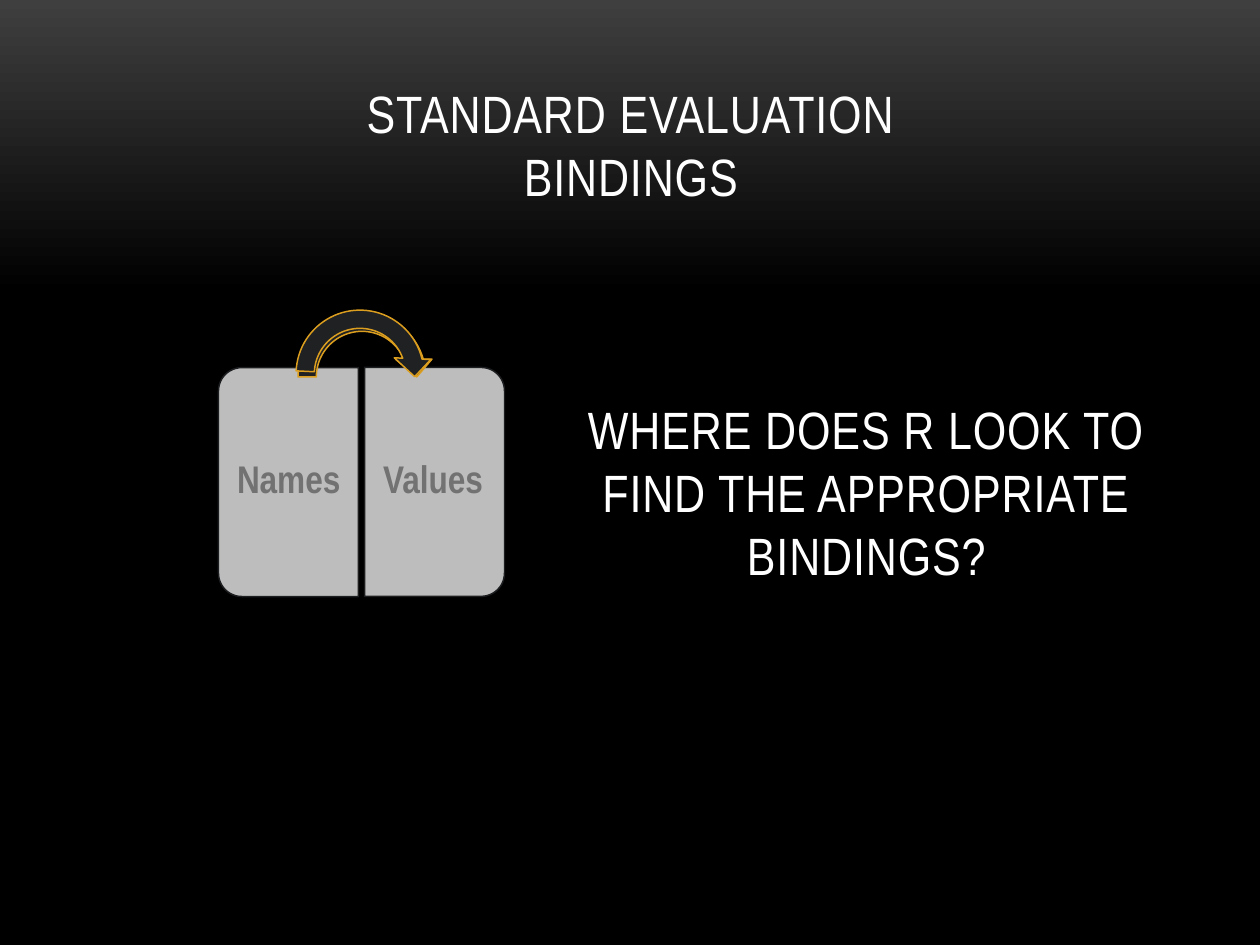
from pptx import Presentation
from pptx.dml.color import RGBColor
from pptx.enum.shapes import MSO_SHAPE as Shape
from pptx.enum.text import MSO_ANCHOR as Anchor, MSO_AUTO_SIZE as AutoSize, PP_ALIGN as Align
from pptx.util import Emu, Pt

WHITE = RGBColor(0xFF, 0xFF, 0xFF)
BLACK = RGBColor(0x00, 0x00, 0x00)
TOP_GREY = RGBColor(0x3F, 0x3F, 0x3F)
PANEL = RGBColor(0xBD, 0xBD, 0xBD)
PANEL_EDGE = RGBColor(0x1C, 0x1E, 0x20)
LABEL = RGBColor(0x72, 0x72, 0x73)
ARROW = RGBColor(0x1F, 0x21, 0x23)
GOLD = RGBColor(0xDC, 0x9E, 0x1F)

EMU_PER_PX = 914400 / 126
HEADING = {"name": "Arial Narrow", "size": Pt(30)}
CAPTION = {"name": "Arial Narrow", "size": Pt(22), "bold": True}
ARROW_ADJUST = (0.125, 11.42, 204.58, 108, 0.125)


def px(*lengths):
    return [Emu(round(length * EMU_PER_PX)) for length in lengths]


def apply(target, values):
    for key, value in values.items():
        setattr(target, key, value)


class Deck:
    def __init__(self, width, height):
        self.presentation = Presentation()
        slide_width, slide_height = px(width, height)
        apply(self.presentation, {"slide_width": slide_width, "slide_height": slide_height})
        self.slide = self.presentation.slides.add_slide(self.presentation.slide_layouts[5])
        self.canvas = self.slide.shapes

    def background(self, start, end, end_position):
        fill = self.slide.background.fill
        fill.gradient()
        fill.gradient_angle = 270
        for stop, color, position in zip(fill.gradient_stops, (start, end), (0, end_position)):
            stop.color.rgb = color
            stop.position = position

    def fill_text(self, frame, lines, style, color, frame_format, paragraph_format, tracking=0):
        apply(frame, {"word_wrap": True, "auto_size": AutoSize.NONE, **frame_format})
        paragraph = frame.paragraphs[0]
        apply(paragraph, paragraph_format)
        for index, line in enumerate(lines):
            if index:
                paragraph.add_line_break()
            run = paragraph.add_run()
            run.text = line
            apply(run.font, style)
            run.font.color.rgb = color
            if tracking:
                run._r.get_or_add_rPr().set("spc", str(tracking))

    def heading(self, holder, lines):
        self.fill_text(holder.text_frame, lines, HEADING, WHITE,
                       {"vertical_anchor": Anchor.BOTTOM}, {"alignment": Align.CENTER}, 50)

    def title(self, box, lines):
        holder = self.slide.shapes.title
        apply(holder, dict(zip(("left", "top", "width", "height"), px(*box))))
        self.heading(holder, lines)

    def question(self, box, text):
        self.heading(self.slide.shapes.add_textbox(*px(*box)), [text])

    def group(self):
        self.canvas = self.slide.shapes.add_group_shape().shapes

    def shape(self, kind, box, rotation, adjustments, fill, edge):
        shape = self.canvas.add_shape(kind, *px(*box))
        shape.shadow.inherit = False
        shape.rotation = rotation
        for index, value in enumerate(adjustments):
            shape.adjustments[index] = value
        shape.fill.solid()
        shape.fill.fore_color.rgb = fill
        shape.line.color.rgb = edge
        shape.line.width = Pt(0.85)

    def caption(self, box, text, left_inset, right_inset):
        sides = ("margin_left", "margin_top", "margin_right", "margin_bottom")
        margins = dict(zip(sides, px(left_inset, 19, right_inset, 19)))
        self.fill_text(self.canvas.add_textbox(*px(*box)).text_frame, [text], CAPTION, LABEL,
                       {"vertical_anchor": Anchor.MIDDLE, **margins},
                       {"alignment": Align.LEFT, "line_spacing": 0.9})


def main():
    deck = Deck(1260, 945)
    deck.background(TOP_GREY, BLACK, 0.31)
    deck.title((64, 55, 1134, 158), ["STANDARD EVALUATION", "BINDINGS"])

    deck.group()
    bindings = (("Names", 174, 270, 226, 11, 18), ("Values", 320, 90, 365, 18, 11))
    for text, panel_left, rotation, text_left, left_inset, right_inset in bindings:
        deck.shape(Shape.ROUND_2_SAME_RECTANGLE, (panel_left, 412, 229, 140), rotation,
                   (0.167, 0), PANEL, PANEL_EDGE)
        deck.caption((text_left, 374, 134, 215), text, left_inset, right_inset)
    for left, top, rotation in ((289, 304, 0), (287, 301, 2.8)):
        deck.shape(Shape.CIRCULAR_ARROW, (left, top, 146, 146), rotation,
                   ARROW_ADJUST, ARROW, GOLD)

    deck.question((571, 334, 591, 258), "WHERE DOES R LOOK TO FIND THE APPROPRIATE BINDINGS?")
    deck.presentation.save("out.pptx")


if __name__ == "__main__":
    main()
